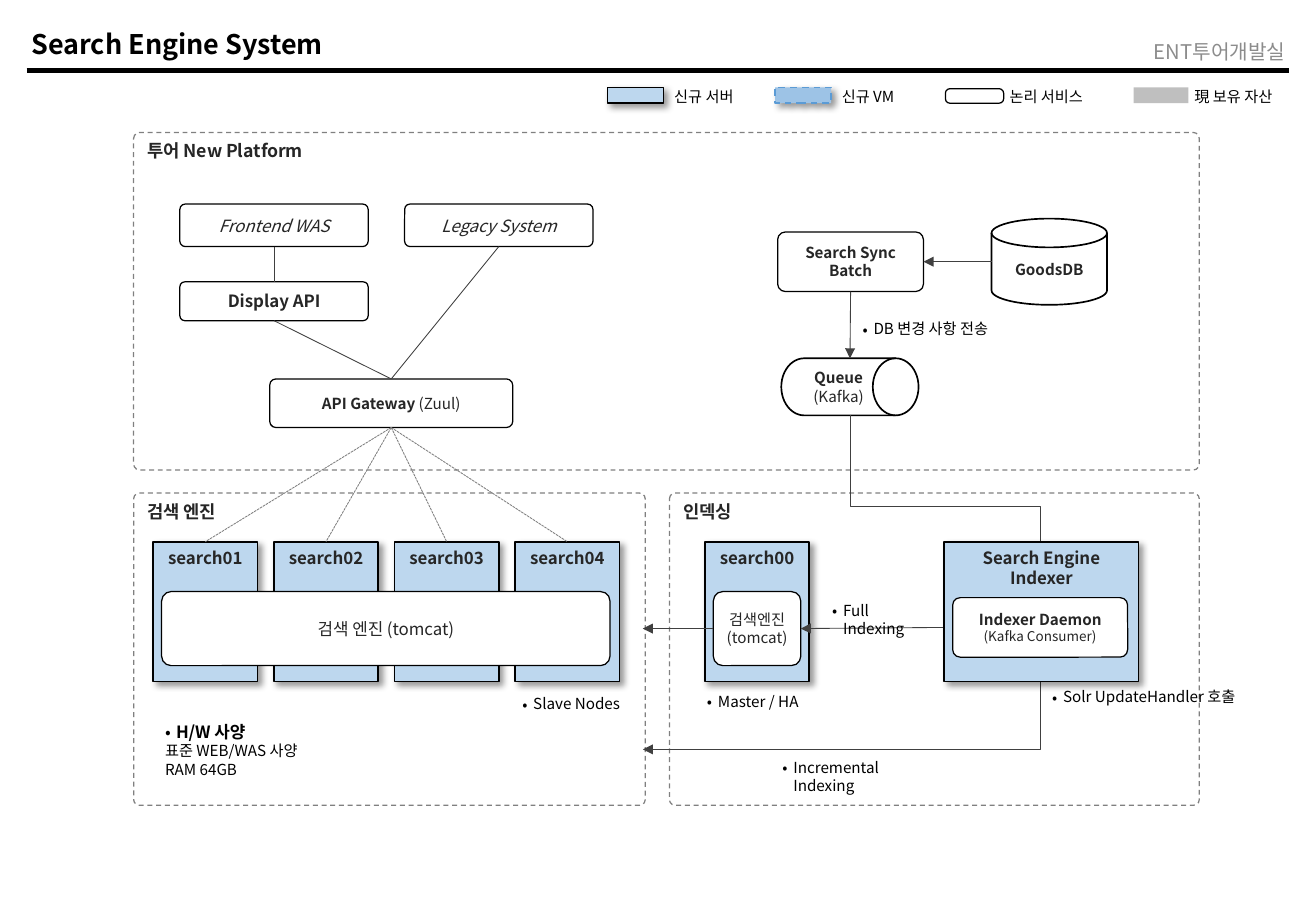
"""Builds the one-slide architecture diagram of a search engine system."""
import pptx
import pptx.dml.color
import pptx.enum.dml
import pptx.enum.shapes
import pptx.enum.text
import pptx.oxml
import pptx.oxml.ns
import pptx.util

FONT = "Noto Sans CJK KR"
COLORS = {"black": "000000", "ink": "262626", "grey": "8C8C8C", "link": "404040",
          "dash": "808080", "white": "FFFFFF", "server": "BDD7EE", "vm": "9DC3E6",
          "vm_edge": "5B9BD5", "asset": "BFBFBF"}
CELLS_PER_INCH = 10
COLS, ROWS = 108.3, 75

SHAPE = pptx.enum.shapes.MSO_SHAPE
DASH = pptx.enum.dml.MSO_LINE
ALIGN = pptx.enum.text.PP_ALIGN
ANCHOR = pptx.enum.text.MSO_ANCHOR
TOP, LEFT, BOTTOM, RIGHT = range(4)

STYLES = {
    "panel": dict(preset=SHAPE.ROUNDED_RECTANGLE, adj=0.018, fill="white", edge="dash", width=0.75,
                  dash=DASH.DASH, align=ALIGN.LEFT, anchor=ANCHOR.TOP, inset=(1, 0.5)),
    "server": dict(preset=SHAPE.RECTANGLE, fill="server", edge="black", width=1, shadow=True,
                   anchor=ANCHOR.TOP, inset=(0, 0.5)),
    "vm": dict(preset=SHAPE.RECTANGLE, fill="vm", edge="vm_edge", width=1, dash=DASH.DASH, shadow=True),
    "service": dict(preset=SHAPE.ROUNDED_RECTANGLE, adj=0.128, fill="white", edge="black", width=0.75),
    "pill": dict(preset=SHAPE.ROUNDED_RECTANGLE, adj=0.316, fill="white", edge="black", width=0.75),
    "asset": dict(preset=SHAPE.RECTANGLE, fill="asset"),
    "disk": dict(preset=SHAPE.FLOWCHART_MAGNETIC_DISK, fill="white", edge="black", width=1),
    "drum": dict(preset=SHAPE.FLOWCHART_DIRECT_ACCESS_STORAGE, fill="white", edge="black", width=1),
}

PANELS = [("투어 New Platform", (11, 10.9, 87.7, 27.8)),
          ("인덱싱", (55.1, 40.6, 43.6, 25.7)),
          ("검색 엔진", (11, 40.6, 42.1, 25.7))]
SLAVES = [f"search{n:02}" for n in range(1, 5)]
SLAVE_LEFT, SLAVE_STEP, SERVER_TOP, SERVER_W, SERVER_H = 12.6, 9.93, 44.6, 8.6, 11.5
NODES = [
    ("engine", "service", (13.3, 48.7, 36.9, 6.1), [("검색 엔진 (tomcat)", 10, "")]),
    ("display", "service", (14.8, 23.2, 15.5, 3.2), [("Display API", 10, "b")]),
    ("frontend", "service", (14.8, 16.8, 15.5, 3.5), [("Frontend WAS", 10, "i")]),
    ("legacy", "service", (33.3, 16.8, 15.5, 3.5), [("Legacy System", 10, "i")]),
    ("master", "server", (58, SERVER_TOP, SERVER_W, SERVER_H), [("search00", 10, "b")]),
    ("master engine", "service", (58.7, 48.7, 7.2, 6.1), [("검색엔진 (tomcat)", 9, "")]),
    ("goods", "disk", (81.6, 18, 9.5, 7.1), [("GoodsDB", 9, "b")]),
    ("batch", "service", (64, 19.1, 12, 4.9), [("Search Sync", 9, "b"), ("Batch", 9, "b")]),
    ("queue", "drum", (64.3, 29.5, 11.3, 4.7), [("Queue", 9, "b"), ("(Kafka)", 9, "")]),
    ("gateway", "service", (22.2, 31.2, 20, 4), [((("API Gateway ", True), ("(Zuul)", False)), 9, "")]),
    ("indexer", "server", (77.7, SERVER_TOP, 16, SERVER_H),
     [("Search Engine", 10, "b"), ("Indexer", 10, "b")]),
    ("daemon", "service", (78.4, 49.2, 14.4, 4.9),
     [("Indexer Daemon", 9, "b"), ("(Kafka Consumer)", 8, "")]),
]
LINKS = [(("frontend", BOTTOM), ("display", TOP), False),
         (("display", BOTTOM), ("gateway", TOP), False),
         (("legacy", BOTTOM), ("gateway", TOP), False),
         (("daemon", LEFT), ("master engine", RIGHT), True),
         (("master engine", LEFT), (52.9, 51.75), True),
         (("goods", LEFT), ("batch", RIGHT), True),
         (("batch", BOTTOM), ("queue", TOP), True)]
ELBOWS = [("bentConnector2", ("daemon", BOTTOM), (52.9, 61.7)),
          ("bentConnector3", ("queue", BOTTOM), ("daemon", TOP))]
NOTES = [("DB 변경 사항 전송", (70, 25.8, 13.5, 2.5)),
         ("Full Indexing", (67.5, 49, 10.3, 2.5)),
         ("Incremental Indexing", (63.4, 61.9, 15, 2.5)),
         ("Master / HA", (57.2, 56.5, 10, 2.5)),
         ("Slave Nodes", (42, 56.7, 10.3, 2.5)),
         ("Solr UpdateHandler 호출", (85.6, 56.1, 17.2, 2.5))]
SPECS = [("H/W 사양", 10, "b•"), ("표준 WEB/WAS 사양", 9, ""), ("RAM 64GB", 9, "")]
LEGEND = [("server", (50, 7.2, 4.6, 1.3), "신규 서버", 54.5, 7.5),
          ("vm", (63.8, 7.2, 4.6, 1.3), "신규 VM", 68.3, 6.9),
          ("pill", (77.8, 7.3, 4.8, 1.2), "논리 서비스", 82.1, 8.8),
          ("asset", (93.3, 7.2, 4.5, 1.3), "現 보유 자산", 97.3, 9.2)]


def cell(*values):
    return [pptx.util.Inches(v / CELLS_PER_INCH) for v in values]


def rgb(name):
    return pptx.dml.color.RGBColor.from_string(COLORS[name])


def add_xml(parent, tag, **attrs):
    el = pptx.oxml.parse_xml(f"<a:{tag} {pptx.oxml.ns.nsdecls('a')}/>")
    for key, value in attrs.items():
        el.set(key, str(value))
    parent.append(el)
    return el


def write(sp, lines, color, align, anchor, inset):
    tf = sp.text_frame
    tf.word_wrap, tf.vertical_anchor = True, anchor
    tf.margin_left = tf.margin_right = cell(inset[0])[0]
    tf.margin_top = tf.margin_bottom = cell(inset[1])[0]
    for i, (text, size, flags) in enumerate(lines):
        p = tf.add_paragraph() if i else tf.paragraphs[0]
        p.alignment = align
        if "•" in flags:
            pPr = p._p.get_or_add_pPr()
            hang = cell(0.9)[0]
            pPr.set("marL", str(hang))
            pPr.set("indent", str(-hang))
            add_xml(pPr, "buFont", typeface=FONT)
            add_xml(pPr, "buChar", char="•")
        f = p.font
        f.size, f.name, f.color.rgb = pptx.util.Pt(size), FONT, rgb(color)
        add_xml(p._p.pPr.find(pptx.oxml.ns.qn("a:defRPr")), "ea", typeface=FONT)
        if isinstance(text, str):
            f.bold, f.italic = "b" in flags, "i" in flags
            p.add_run().text = text
        else:
            for part, bold in text:
                r = p.add_run()
                r.text, r.font.bold = part, bold


def add_node(s, style, box, lines=()):
    st = STYLES[style]
    sp = s.shapes.add_shape(st["preset"], *cell(*box))
    sp.shadow.inherit = False
    if "adj" in st:
        sp.adjustments[0] = st["adj"]
    sp.fill.solid()
    sp.fill.fore_color.rgb = rgb(st["fill"])
    if "edge" in st:
        sp.line.color.rgb, sp.line.width = rgb(st["edge"]), pptx.util.Pt(st["width"])
        sp.line.dash_style = st.get("dash")
    else:
        sp.line.fill.background()
    if "shadow" in st:
        effects = sp._element.spPr.find(pptx.oxml.ns.qn("a:effectLst"))
        shadow = add_xml(effects, "outerShdw", blurRad=pptx.util.Pt(4), dist=pptx.util.Pt(3),
                         dir=45 * 60000, algn="tl", rotWithShape=0)
        add_xml(add_xml(shadow, "srgbClr", val=COLORS["black"]), "alpha", val=40000)
    write(sp, lines, "ink", st.get("align", ALIGN.CENTER), st.get("anchor", ANCHOR.MIDDLE),
          st.get("inset", (0, 0)))
    return sp


def add_label(s, box, lines, color="black", align=ALIGN.LEFT, anchor=ANCHOR.TOP, inset=(1, 0.5)):
    write(s.shapes.add_textbox(*cell(*box)), lines, color, align, anchor, inset)


def locate(end, nodes):
    if not isinstance(end[0], str):
        return cell(*end)
    sp, side = nodes[end[0]], end[1]
    x = sp.left + {LEFT: 0, RIGHT: sp.width}.get(side, sp.width // 2)
    y = sp.top + {TOP: 0, BOTTOM: sp.height}.get(side, sp.height // 2)
    return x, y


def add_line(s, start, end, color="link", width=0.5, arrow=False, dash=None):
    cx = s.shapes.add_connector(pptx.enum.shapes.MSO_CONNECTOR.STRAIGHT, *start, *end)
    cx.line.color.rgb, cx.line.width = rgb(color), pptx.util.Pt(width)
    cx.line.dash_style = dash
    if arrow:
        add_xml(cx.line._get_or_add_ln(), "tailEnd", type="triangle")
    add_xml(cx._element.spPr, "effectLst")
    return cx


def add_link(s, nodes, start, end, **look):
    cx = add_line(s, locate(start, nodes), locate(end, nodes), **look)
    boxes = (SHAPE.RECTANGLE, SHAPE.ROUNDED_RECTANGLE)
    for target, join in ((start, cx.begin_connect), (end, cx.end_connect)):
        if isinstance(target[0], str) and nodes[target[0]].auto_shape_type in boxes:
            join(nodes[target[0]], target[1])


def add_elbow(s, nodes, preset, start, end):
    (x1, y1), (x2, y2) = locate(start, nodes), locate(end, nodes)
    w, h = abs(y2 - y1), abs(x2 - x1)
    left, top = (x1 + x2 - w) // 2, (y1 + y2 - h) // 2
    cx = add_line(s, (left, top), (left + w, top + h), arrow=True)
    spPr = cx._element.spPr
    spPr.find(pptx.oxml.ns.qn("a:prstGeom")).set("prst", preset)
    spPr.xfrm.set("rot", str((90 if x2 < x1 else 270) * 60000))
    if x2 > x1:
        spPr.xfrm.set("flipH", "1")


def main():
    prs = pptx.Presentation()
    prs.slide_width, prs.slide_height = cell(COLS, ROWS)
    s = prs.slides.add_slide(prs.slide_layouts[5])
    title = s.shapes.title
    title.left, title.top, title.width, title.height = cell(2.2, 1.7, 80.5, 3.8)
    write(title, [("Search Engine System", 16, "b")], "black", ALIGN.LEFT, ANCHOR.MIDDLE, (0.4, 0.5))
    add_line(s, cell(2.2, 5.8), cell(106.1, 5.8), "black", 3)
    add_label(s, (82.7, 2.9, 23.5, 2.7), [("ENT투어개발실", 12, "")], "grey", ALIGN.RIGHT,
              ANCHOR.MIDDLE, (0.4, 0.5))

    for name, box in PANELS:
        add_node(s, "panel", box, [(name, 10.5, "b")])
    nodes = {}
    for i, name in enumerate(SLAVES):
        box = (SLAVE_LEFT + i * SLAVE_STEP, SERVER_TOP, SERVER_W, SERVER_H)
        nodes[name] = add_node(s, "server", box, [(name, 10, "b")])
    for name, style, box, lines in NODES:
        nodes[name] = add_node(s, style, box, lines)

    for start, end, arrow in LINKS:
        add_link(s, nodes, start, end, arrow=arrow)
    for name in SLAVES:
        add_link(s, nodes, ("gateway", BOTTOM), (name, TOP), color="dash", dash=DASH.SQUARE_DOT)
    for elbow in ELBOWS:
        add_elbow(s, nodes, *elbow)
    for name in ("indexer", "daemon"):
        s.shapes._spTree.append(nodes[name]._element)

    for text, box in NOTES:
        add_label(s, box, [(text, 9, "•")])
    add_label(s, (12.6, 58.9, 13.8, 5.7), SPECS)
    for style, box, text, left, width in LEGEND:
        add_node(s, style, box)
        add_label(s, (left, 6.7, width, 2.5), [(text, 9, "")])
    prs.save("out.pptx")


if __name__ == "__main__":
    main()
